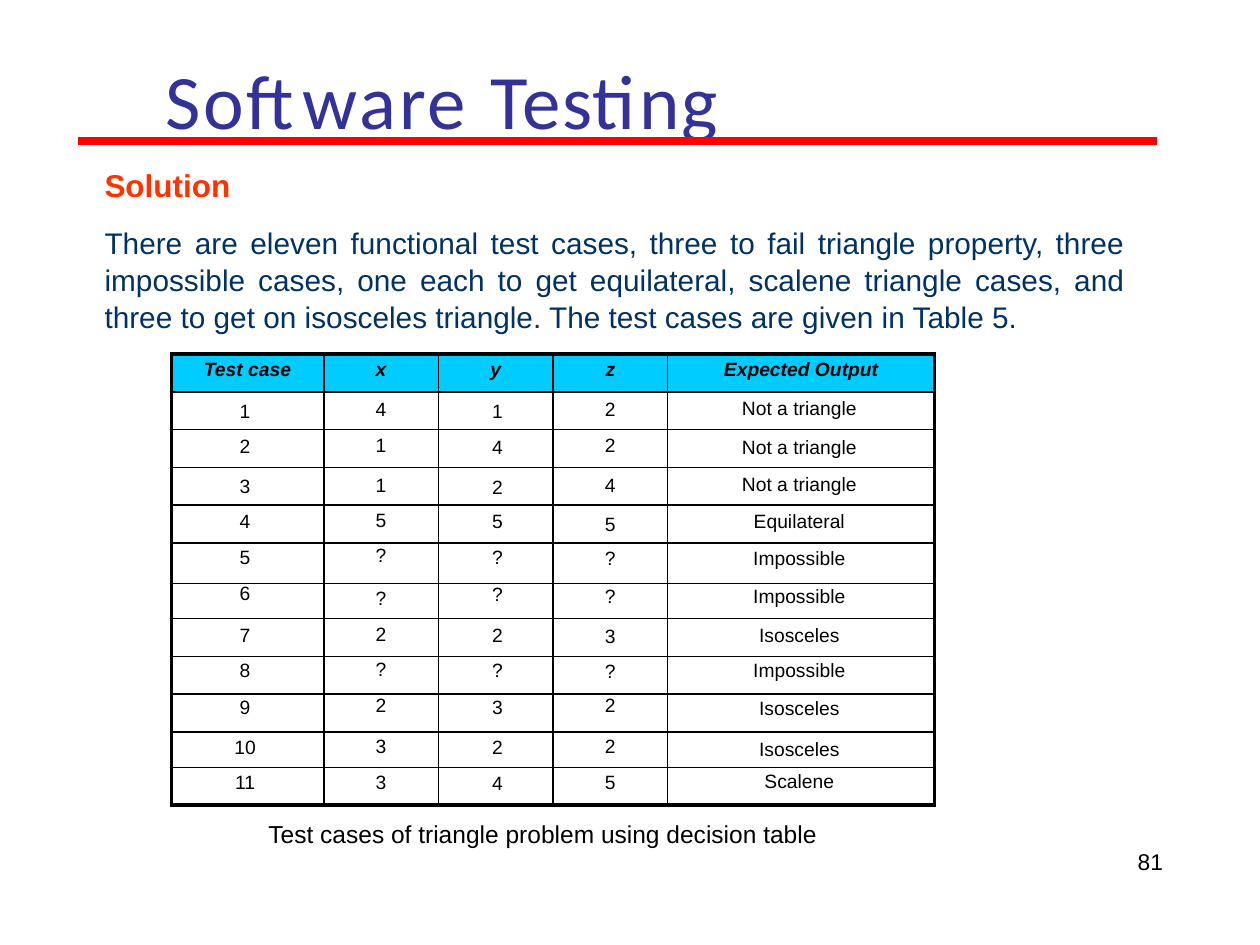
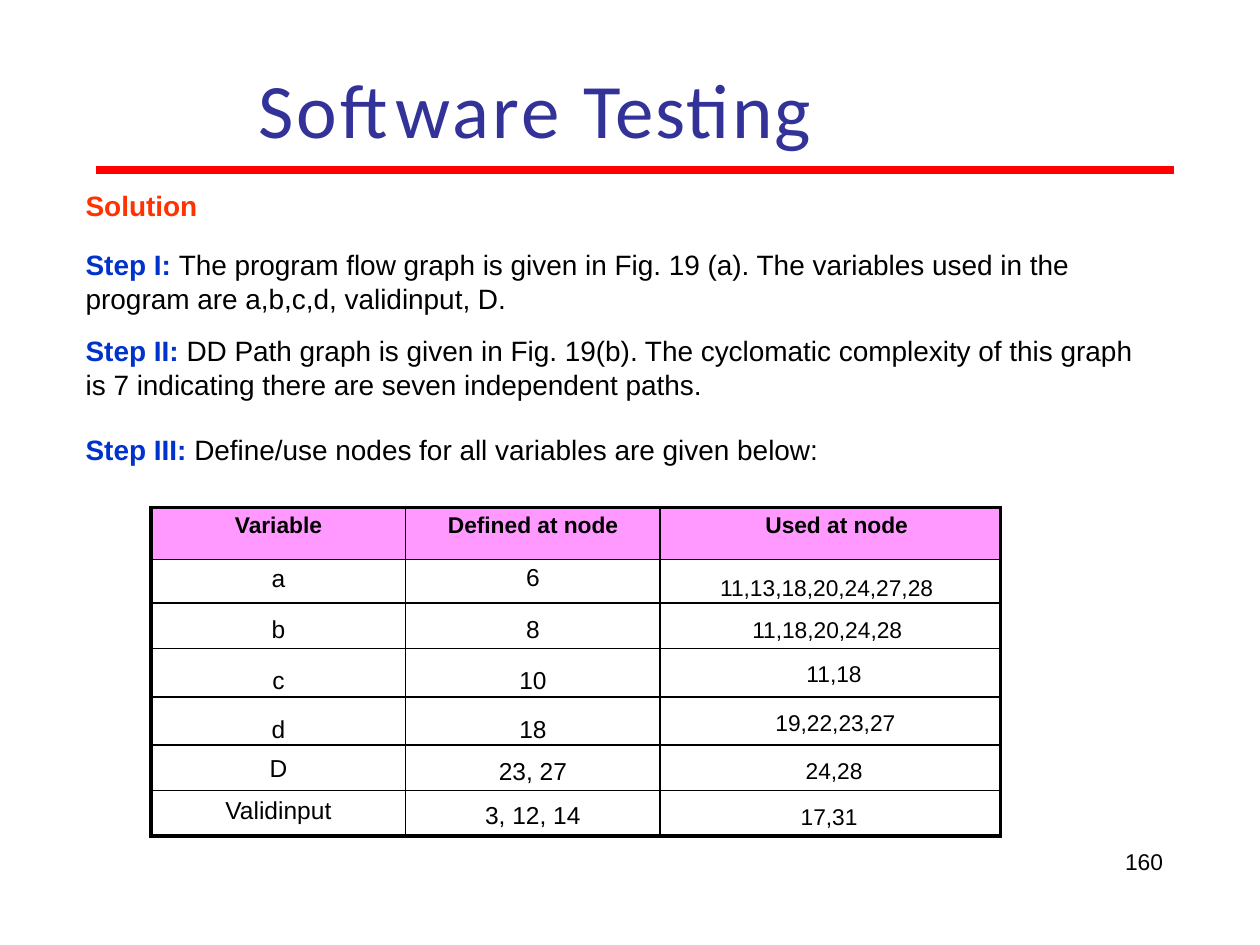
from lxml import etree
from pptx import Presentation
from pptx.dml.color import RGBColor
from pptx.enum.shapes import MSO_CONNECTOR
from pptx.enum.text import MSO_ANCHOR, PP_ALIGN
from pptx.oxml.ns import qn
from pptx.util import Inches, Pt

STRAIGHT = MSO_CONNECTOR.STRAIGHT
TOP, MIDDLE = MSO_ANCHOR.TOP, MSO_ANCHOR.MIDDLE
LEFT, CENTER, RIGHT, JUSTIFY = (
    PP_ALIGN.LEFT, PP_ALIGN.CENTER, PP_ALIGN.RIGHT, PP_ALIGN.JUSTIFY)

TITLE_BLUE = RGBColor(0x32, 0x32, 0x99)
RULE_RED = RGBColor(0xFF, 0x00, 0x00)
HEADING_RED = RGBColor(0xFF, 0x32, 0x00)
STEP_BLUE = RGBColor(0x00, 0x32, 0xCC)
NAVY = RGBColor(0x00, 0x32, 0x65)
BLACK = RGBColor(0x00, 0x00, 0x00)
CYAN = RGBColor(0x00, 0xCC, 0xFF)
PINK = RGBColor(0xFF, 0x98, 0xFF)

SLIDE_W, SLIDE_H = Inches(10), Inches(7.5)
COL, ROW = SLIDE_W // 100, SLIDE_H // 75  # layout grid: 100 columns by 75 rows
HAIR = ROW // 10                          # fine step for cell insets
RULE_COLS = 85.6
OUTER, INNER = Pt(2.25), Pt(1)


def grid(left, top, width, height):
    return [int(n * unit) for n, unit in
            zip((left, top, width, height), (COL, ROW, COL, ROW))]


def add_run(paragraph, text, spacing=0, **look):
    """Append a run; spacing is in points, look holds font values."""
    run = paragraph.add_run()
    run.text = text
    font = {"name": "Arial", "color": BLACK, "bold": False, **look}
    run.font.color.rgb = font.pop("color")
    for key, value in font.items():
        setattr(run.font, key, value)
    if spacing:
        run._r.get_or_add_rPr().set("spc", str(round(spacing * 100)))


def text_region(slide, box, paragraphs, anchor=TOP):
    """Each paragraph is a pair: format values, list of (text, look)."""
    frame = slide.shapes.add_textbox(*grid(*box)).text_frame
    settings = {"word_wrap": True, "vertical_anchor": anchor, "margin_left": 0,
                "margin_right": 0, "margin_top": 0, "margin_bottom": 0}
    for key, value in settings.items():
        setattr(frame, key, value)
    for index, (layout, runs) in enumerate(paragraphs):
        paragraph = frame.add_paragraph() if index else frame.paragraphs[0]
        for key, value in layout.items():
            setattr(paragraph, key, value)
        for text, look in runs:
            add_run(paragraph, text, **look)


def title_band(slide, box, rule_left, rule_top):
    look = {"name": "Calibri", "size": Pt(44), "color": TITLE_BLUE}
    words = [("Software ", {**look, "spacing": 1.7}),
             ("Testing", {**look, "spacing": 0.9})]
    text_region(slide, box, [({"alignment": CENTER}, words)], MIDDLE)
    left, top, width, _ = grid(rule_left, rule_top, RULE_COLS, 0)
    rule = slide.shapes.add_connector(STRAIGHT, left, top, left + width, top)
    rule.line.color.rgb = RULE_RED
    rule.line.width = Pt(4.5)
    etree.SubElement(rule._element.spPr, qn("a:effectLst"))


def page_number(slide, number):
    layout = {"alignment": RIGHT, "line_spacing": Pt(13.2)}
    text_region(slide, (87.3, 67.6, 5, 1.8),
                [(layout, [(str(number), {"size": Pt(13)})])])


def border(cell, edges):
    """Draw black cell edges; edges maps lnL, lnR, lnT, lnB to widths."""
    properties = cell._tc.get_or_add_tcPr()
    for tag, width in edges.items():
        line = etree.SubElement(properties, qn(f"a:{tag}"), w=str(width))
        solid = etree.SubElement(line, qn("a:solidFill"))
        etree.SubElement(solid, qn("a:srgbClr"), val=str(BLACK))


def ruled_table(slide, left, top, widths, heights, rows, insets, nudges,
                header_fill, header_look, body_sizes):
    """Insets lower each cell's text and nudges move it sideways, in hairs."""
    table = slide.shapes.add_table(
        len(rows), len(widths),
        *grid(left, top, sum(widths), sum(heights))).table
    table.first_row = table.horz_banding = False
    for column, width in zip(table.columns, widths):
        column.width = int(width * COL)
    for row, height in zip(table.rows, heights):
        row.height = int(height * ROW)
    last_row, last_column = len(rows) - 1, len(widths) - 1
    for r, texts in enumerate(rows):
        for c, text in enumerate(texts):
            cell = table.cell(r, c)
            border(cell, {"lnL": INNER if c else OUTER,
                          "lnR": OUTER if c == last_column else INNER,
                          "lnT": INNER if r else OUTER,
                          "lnB": OUTER if r == last_row else INNER})
            if r:
                cell.fill.background()
            else:
                cell.fill.solid()
                cell.fill.fore_color.rgb = header_fill
            nudge = nudges[r][c] * HAIR
            margins = {"margin_left": max(nudge, 0),
                       "margin_right": max(-nudge, 0),
                       "margin_top": insets[r][c] * HAIR, "margin_bottom": 0}
            for key, value in margins.items():
                setattr(cell, key, value)
            paragraph = cell.text_frame.paragraphs[0]
            paragraph.alignment = CENTER
            look = {"size": Pt(body_sizes[c])} if r else header_look
            add_run(paragraph, text, **look)


def heading(size):
    return ({}, [("Solution", {"size": Pt(size), "color": HEADING_RED,
                               "bold": True})])


def test_case_slide(slide):
    title_band(slide, (6.2, 4.1, 57.7, 7.5), 6.2, 11.2)
    rows = [
        ("Test case", "x", "y", "z", "Expected Output"),
        ("1", "4", "1", "2", "Not a triangle"),
        ("2", "1", "4", "2", "Not a triangle"),
        ("3", "1", "2", "4", "Not a triangle"),
        ("4", "5", "5", "5", "Equilateral"),
        ("5", "?", "?", "?", "Impossible"),
        ("6", "?", "?", "?", "Impossible"),
        ("7", "2", "2", "3", "Isosceles"),
        ("8", "?", "?", "?", "Impossible"),
        ("9", "2", "3", "2", "Isosceles"),
        ("10", "3", "2", "2", "Isosceles"),
        ("11", "3", "4", "5", "Scalene"),
    ]
    insets = [
        (4, 4, 4, 4, 4), (7, 6, 7, 6, 5), (5, 4, 6, 4, 6), (7, 6, 8, 6, 5),
        (5, 4, 5, 7, 5), (3, 2, 3, 4, 4), (0, 4, 1, 2, 2), (5, 4, 5, 6, 5),
        (3, 2, 3, 4, 3), (2, 1, 2, 1, 3), (4, 3, 4, 3, 6), (4, 4, 5, 4, 3),
    ]
    ruled_table(
        slide, 13.6, 28.1, (12.1, 9.1, 9.1, 9.1, 21.2),
        [3] * 5 + [3.2, 2.8] + [3] * 3 + [2.8, 3], rows, insets,
        [(0,) * 5] + [(-4, 0, 3, 0, -3)] * 11, CYAN,
        {"size": Pt(11), "bold": True, "italic": True}, [11] * 5)
    page_number(slide, 81)
    answer = (
        "There are eleven functional test cases, three to fail triangle "
        "property, three impossible cases, one each to get equilateral, "
        "scalene triangle cases, and three to get on isosceles triangle. "
        "The test cases are given in Table 5.")
    layout = {"alignment": JUSTIFY, "space_before": Pt(11),
              "line_spacing": 1.04}
    text_region(slide, (8.3, 13.2, 81, 13.7), [
        heading(18), (layout, [(answer, {"size": Pt(17), "color": NAVY})])])
    text_region(slide, (21.3, 65, 45.5, 2.4), [
        ({}, [("Test cases of triangle problem using decision table",
               {"size": Pt(14)})])])


def variable_slide(slide):
    title_band(slide, (19.5, 4.8, 45.9, 7.5), 7.6, 13.5)
    rows = [
        ("Variable", "Defined at node", "Used at node"),
        ("a", "6", "11,13,18,20,24,27,28"),
        ("b", "8", "11,18,20,24,28"),
        ("c", "10", "11,18"),
        ("d", "18", "19,22,23,27"),
        ("D", "23, 27", "24,28"),
        ("Validinput", "3, 12, 14", "17,31"),
    ]
    insets = [(4, 4, 4), (5, 4, 13), (10, 10, 12), (15, 15, 11),
              (15, 15, 11), (8, 10, 11), (5, 9, 11)]
    ruled_table(
        slide, 12, 40.3, (20.2, 20.2, 27),
        (4.1, 3.4, 3.6, 3.7, 3.7, 3.6, 3.6), rows, insets,
        [(0, 0, shift) for shift in (10, -6, -5, 6, 8, 6, -2)], PINK,
        {"size": Pt(13), "bold": True}, (14, 14, 13))
    page_number(slide, 160)
    steps = [
        (14.5, "Step I: ",
         "The program flow graph is given in Fig. 19 (a). The variables used "
         "in the program are a,b,c,d, validinput, D."),
        (10.8, "Step II: ",
         "DD Path graph is given in Fig. 19(b). The cyclomatic complexity of "
         "this graph is 7 indicating there are seven independent paths."),
        (18, "Step III: ",
         "Define/use nodes for all variables are given below:"),
    ]
    text_region(slide, (6.8, 15, 84.2, 22.6), [heading(16)] + [
        ({"alignment": LEFT, "space_before": Pt(gap)},
         [(label, {"size": Pt(16), "color": STEP_BLUE, "bold": True}),
          (detail, {"size": Pt(16)})])
        for gap, label, detail in steps])


def main():
    deck = Presentation()
    deck.slide_width, deck.slide_height = SLIDE_W, SLIDE_H
    blank = deck.slide_layouts[6]
    for build in (test_case_slide, variable_slide):
        build(deck.slides.add_slide(blank))
    deck.save("out.pptx")


if __name__ == "__main__":
    main()
